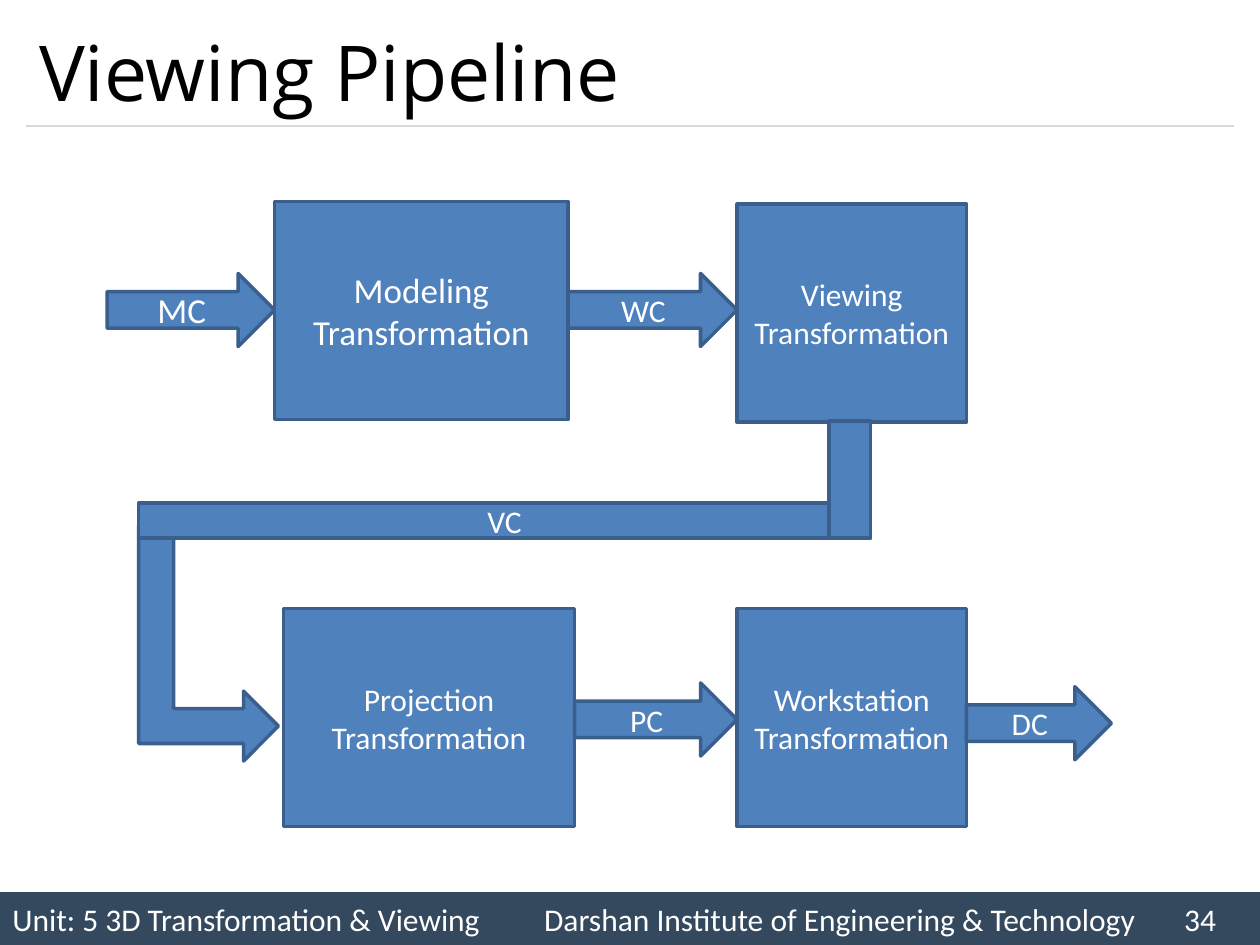
from dataclasses import dataclass

from lxml import etree
from pptx import Presentation
from pptx import util as u
from pptx.dml.color import RGBColor
from pptx.enum import shapes, text
from pptx.oxml.ns import qn


@dataclass(frozen=True)
class Theme:
    block: str = "4F81BD"
    edge: str = "3A5F8C"
    rule: str = "D9D9D9"
    footer: str = "34495E"
    light: str = "FFFFFF"
    dark: str = "000000"
    body_font: str = "Calibri"
    title_font: str = "Open Sans"
    title_size: int = 44
    large: int = 20
    normal: int = 18
    edge_width: int = 2


THEME = Theme()
WIDTH, HEIGHT = 10, 7.5
MARGIN = 0.21
HEADER_BOTTOM = 1
FOOTER_HEIGHT = 0.42

# Stage grid: left edge and width of each column, top of each row
LEFT_TOP, LEFT_BOTTOM, RIGHT = (2.18, 2.33), (2.25, 2.31), (5.85, 1.82)
TOP_ROW, BOTTOM_ROW = 1.6, 4.83
STAGE_HEIGHT = 1.73
ARROW_HEIGHT = 0.58
RETURN_LEFT, RETURN_RIGHT = 1.1, 6.91
RETURN_TOP, RETURN_THICK = 3.99, 0.28

RECT = shapes.MSO_SHAPE.RECTANGLE
ARROW = shapes.MSO_SHAPE.RIGHT_ARROW


def color(value):
    return RGBColor.from_string(value)


def add_run(paragraph, words, size, font=THEME.body_font, ink=THEME.light):
    run = paragraph.add_run()
    run.text = words
    run.font.size = u.Pt(size)
    run.font.name = font
    run.font.color.rgb = color(ink)


def add_block(slide, kind, left, top, width, height, label="", size=THEME.normal):
    block = slide.shapes.add_shape(kind, *map(u.Inches, (left, top, width, height)))
    block.shadow.inherit = False
    block.fill.solid()
    block.fill.fore_color.rgb = color(THEME.block)
    block.line.color.rgb = color(THEME.edge)
    block.line.width = u.Pt(THEME.edge_width)
    if label:
        block.text_frame.vertical_anchor = text.MSO_ANCHOR.MIDDLE
        paragraph = block.text_frame.paragraphs[0]
        paragraph.alignment = text.PP_ALIGN.CENTER
        add_run(paragraph, label, size)
    return block


def add_stage(slide, column, top, label, size=THEME.normal):
    left, width = column
    add_block(slide, RECT, left, top, width, STAGE_HEIGHT, label, size)


def add_flow(slide, left, right, top, label, size=THEME.normal):
    add_block(slide, ARROW, left, top, right - left, ARROW_HEIGHT, label, size)


def add_return_path(slide):
    """Carry viewing coordinates from the top row back to the bottom row."""
    drop, reach = 1.87, 1.11
    # The arrow turns about its centre, so its sides swap after placement.
    center_x = RETURN_LEFT + reach / 2
    center_y = RETURN_TOP + RETURN_THICK - 0.1 + drop / 2
    bend = add_block(slide, shapes.MSO_SHAPE.BENT_UP_ARROW,
                     center_x - drop / 2, center_y - reach / 2, drop, reach)
    bend.rotation = 90
    add_block(slide, RECT, RETURN_LEFT, RETURN_TOP,
              RETURN_RIGHT - RETURN_LEFT, RETURN_THICK, "VC")
    stem_width, stem_top = 0.33, 3.34
    add_block(slide, RECT, RETURN_RIGHT - stem_width, stem_top,
              stem_width, RETURN_TOP + RETURN_THICK - stem_top)


def add_header(slide, words):
    rule = slide.shapes.add_connector(
        shapes.MSO_CONNECTOR.STRAIGHT,
        *map(u.Inches, (MARGIN, HEADER_BOTTOM, WIDTH - MARGIN, HEADER_BOTTOM)))
    rule.line.color.rgb = color(THEME.rule)
    rule.line.width = u.Pt(0.75)
    etree.SubElement(rule._element.spPr, qn("a:effectLst"))

    title = slide.shapes.title
    title.left, title.top = u.Inches(MARGIN), u.Inches(0.12)
    title.width, title.height = u.Inches(WIDTH - 2 * MARGIN), u.Inches(0.88)
    frame = title.text_frame
    frame.auto_size = text.MSO_AUTO_SIZE.NONE
    frame.vertical_anchor = text.MSO_ANCHOR.MIDDLE
    frame.paragraphs[0].alignment = text.PP_ALIGN.LEFT
    add_run(frame.paragraphs[0], words, THEME.title_size, THEME.title_font, THEME.dark)


def add_footer(slide, parts, tab_stops):
    """Set the footer parts in one line, each after the first at a tab stop."""
    bar = add_block(slide, RECT, 0, HEIGHT - FOOTER_HEIGHT, WIDTH, FOOTER_HEIGHT)
    bar.fill.fore_color.rgb = color(THEME.footer)
    bar.line.fill.background()
    bar.text_frame.vertical_anchor = text.MSO_ANCHOR.MIDDLE
    paragraph = bar.text_frame.paragraphs[0]
    paragraph.alignment = text.PP_ALIGN.LEFT
    tabs = etree.SubElement(paragraph._p.get_or_add_pPr(), qn("a:tabLst"))
    for stop in tab_stops:
        etree.SubElement(tabs, qn("a:tab"), pos=str(u.Inches(stop)), algn="l")
    add_run(paragraph, "\t".join(parts), THEME.normal)


def main():
    deck = Presentation()
    deck.slide_width, deck.slide_height = u.Inches(WIDTH), u.Inches(HEIGHT)
    slide = deck.slides.add_slide(deck.slide_layouts[5])

    add_header(slide, "Viewing Pipeline")
    add_footer(slide, ("Unit: 5 3D Transformation & Viewing",
                       "Darshan Institute of Engineering & Technology", "34"),
               (4.22, 9.3))

    add_stage(slide, LEFT_TOP, TOP_ROW, "Modeling Transformation", THEME.large)
    add_stage(slide, RIGHT, TOP_ROW + 0.02, "Viewing Transformation")
    add_stage(slide, LEFT_BOTTOM, BOTTOM_ROW, "Projection Transformation")
    add_stage(slide, RIGHT, BOTTOM_ROW, "Workstation Transformation")

    top_flow, bottom_flow = 2.17, 5.42
    add_flow(slide, 0.85, LEFT_TOP[0], top_flow, "MC", THEME.large)
    add_flow(slide, sum(LEFT_TOP), RIGHT[0], top_flow, "WC")
    add_flow(slide, sum(LEFT_BOTTOM), RIGHT[0], bottom_flow, "PC")
    add_flow(slide, sum(RIGHT), 8.82, bottom_flow + 0.03, "DC")
    add_return_path(slide)

    deck.save("out.pptx")


if __name__ == "__main__":
    main()
